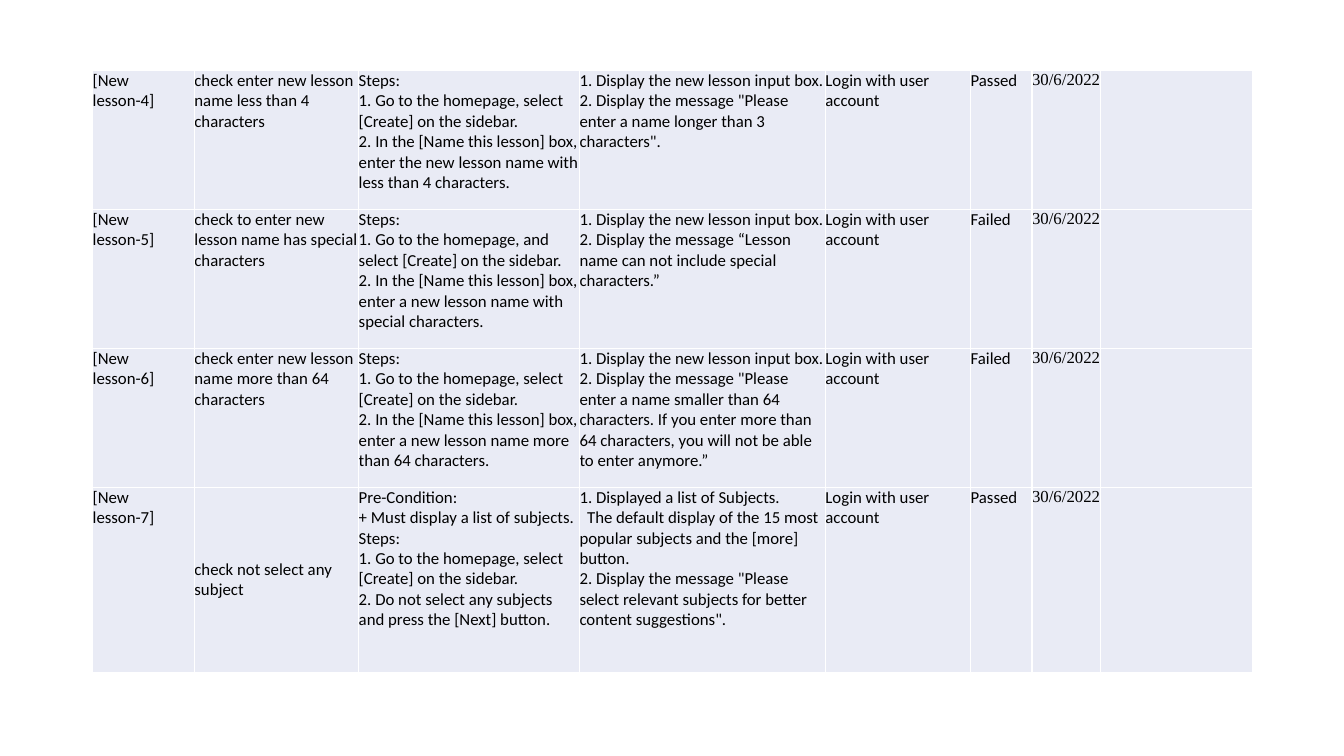
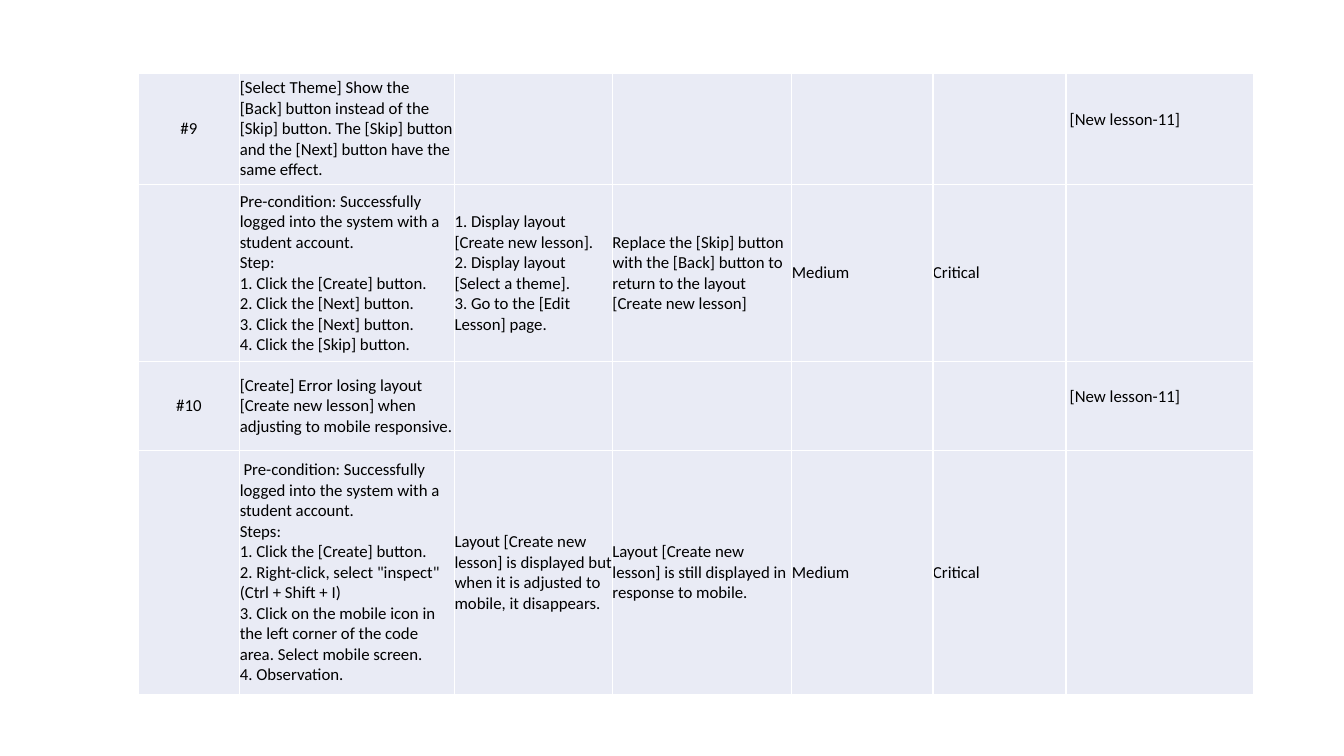
from pptx import Presentation
from pptx.dml.color import RGBColor
from pptx.enum import text
from pptx.oxml import parse_xml
from pptx.oxml import ns
from pptx.util import Pt

TOP, MID = text.MSO_ANCHOR.TOP, text.MSO_ANCHOR.MIDDLE
INK, BAND, RULE = "000000", "E9EBF5", "FFFFFF"
BLANK = 2.7  # width of one leading space


def color(code):
    return RGBColor.from_string(code)


def fill_cell(cell, words, anchor):
    # Borders come before the fill in the cell properties
    props = cell._tc.get_or_add_tcPr()
    for side in "LRTB":
        props.append(parse_xml(
            f'<a:ln{side} {ns.nsdecls("a")} w="{Pt(1)}"><a:solidFill>'
            f'<a:srgbClr val="{RULE}"/></a:solidFill></a:ln{side}>'))
    cell.fill.solid()
    cell.fill.fore_color.rgb = color(BAND)
    form = {"margin_left": 0, "margin_right": 0, "margin_top": 0,
            "margin_bottom": 0, "vertical_anchor": anchor}
    for key, val in form.items():
        setattr(cell, key, val)

    # One paragraph per line; leading spaces become a first-line indent
    cell.text_frame.text = "\n".join(s.lstrip() for s in words.split("\n"))
    for line, para in zip(words.split("\n"), cell.text_frame.paragraphs):
        gap = len(line) - len(line.lstrip())
        if gap:
            para._p.get_or_add_pPr().set("indent", str(Pt(gap * BLANK)))
        if line.startswith("#"):
            para.alignment = text.PP_ALIGN.CENTER
        face = "Times New Roman" if line.endswith("/2022") else "Calibri"
        for run in para.runs:
            for key, val in {"name": face, "size": Pt(12), "bold": False}.items():
                setattr(run.font, key, val)
            run.font.color.rgb = color(INK)


# Test cases: name, steps, expected result, status
home = "Steps:\n1. Go to the homepage, select [Create] on the sidebar.\n"
box = "2. In the [Name this lesson] box, enter "
shown = "1. Display the new lesson input box.\n2. Display the message "
tests = [
    ("check enter new lesson name less than 4 characters",
     home + box + "the new lesson name with less than 4 characters.",
     shown + '"Please enter a name longer than 3 characters".', "Passed"),
    ("check to enter new lesson name has special characters",
     home.replace("select", "and select") + box
     + "a new lesson name with special characters.",
     shown + "“Lesson name can not include special characters.”", "Failed"),
    ("check enter new lesson name more than 64 characters",
     home + box + "a new lesson name more than 64 characters.",
     shown + '"Please enter a name smaller than 64 characters. If you enter '
     "more than 64 characters, you will not be able to enter anymore.”",
     "Failed"),
    ("check not select any subject",
     "Pre-Condition:\n+ Must display a list of subjects.\n" + home
     + "2. Do not select any subjects and press the [Next] button.",
     "1. Displayed a list of Subjects.\n"
     "  The default display of the 15 most popular subjects and the [more] "
     'button.\n2. Display the message "Please select relevant subjects for '
     'better content suggestions".', "Passed"),
]
cases = [[f"[New lesson-{n}]", name, steps, result,
          "Login with user account", state, "30/6/2022", ""]
         for n, (name, steps, result, state) in enumerate(tests, 4)]

# Bugs: a heading row and a detail row each
login = ("Pre-condition: Successfully logged into the system "
         "with a student account.\n")
bugs = [
    ("#9",
     "[Select Theme] Show the [Back] button instead of the [Skip] button. "
     "The [Skip] button and the [Next] button have the same effect.",
     login + "Step:\n1. Click the [Create] button.\n2. Click the [Next] button.\n"
     "3. Click the [Next] button.\n4. Click the [Skip] button.",
     "1. Display layout [Create new lesson].\n"
     "2. Display layout [Select a theme].\n3. Go to the [Edit Lesson] page.",
     "Replace the [Skip] button with the [Back] button to return to the "
     "layout [Create new lesson]"),
    ("#10",
     "[Create] Error losing layout [Create new lesson] when adjusting to "
     "mobile responsive.",
     " " + login + "Steps:\n1. Click the [Create] button.\n"
     '2. Right-click, select "inspect" (Ctrl + Shift + I)\n'
     "3. Click on the mobile icon in the left corner of the code area. "
     "Select mobile screen.\n4. Observation.",
     "Layout [Create new lesson] is displayed but when it is adjusted to "
     "mobile, it disappears.",
     "Layout [Create new lesson] is still displayed in response to mobile."),
]
faults = []
for code, title, steps, actual, wanted in bugs:
    faults.append([code, title, "", "", "", "", " [New lesson-11]"])
    faults.append(["", steps, actual, wanted, "Medium", "Critical", ""])

# Left, top, column widths, row heights, anchor, rows
pages = [
    (66.2, 50.4, [72.7, 117.4, 157.7, 175.7, 103.7, 43.9, 49, 108.7],
     [99.2, 99.2, 99.2, 132.2], TOP, cases),
    (98.6, 52.6, [72.7, 153.4, 112.8, 128.2, 100.8, 95, 133.9],
     [79.2, 126.7, 63.4, 174.2], MID, faults),
]

deck = Presentation()
deck.slide_width, deck.slide_height = Pt(960), Pt(540)

for left, top, cols, rows, anchor, data in pages:
    slide = deck.slides.add_slide(deck.slide_layouts[6])
    grid = slide.shapes.add_table(
        len(rows), len(cols), Pt(left), Pt(top), Pt(sum(cols)), Pt(sum(rows))).table
    grid.first_row = grid.horz_banding = False
    for col, size in zip(grid.columns, cols):
        col.width = Pt(size)
    for row, size, line in zip(grid.rows, rows, data):
        row.height = Pt(size)
        for cell, words in zip(row.cells, line):
            single = words == "check not select any subject"
            fill_cell(cell, words, MID if single else anchor)
            # Lesson links sit half a line above the middle
            if words.startswith(" [New"):
                cell.margin_bottom = Pt(14)

deck.save("out.pptx")
